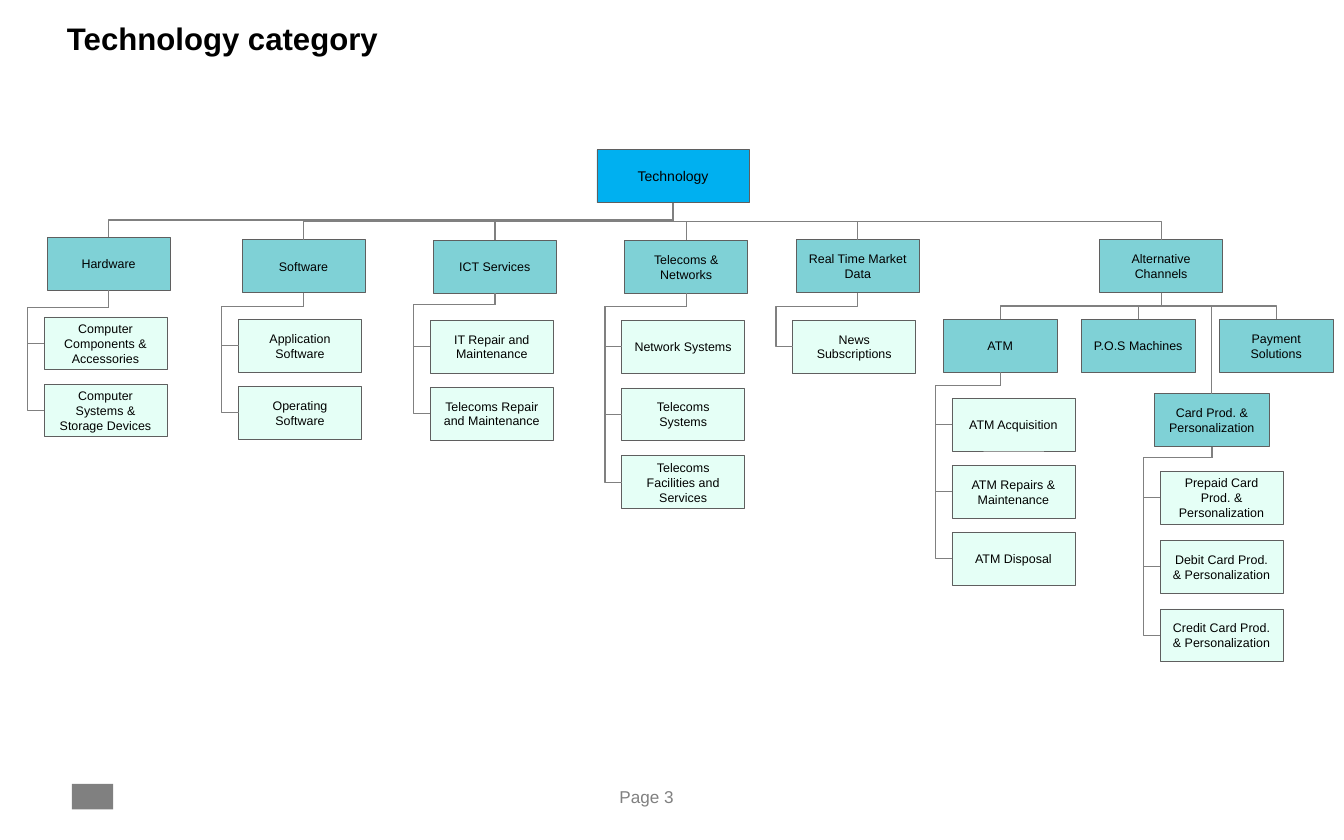
"""Build the technology category tree slide."""
from lxml import etree
from pptx import Presentation
from pptx.dml.color import RGBColor
from pptx.enum.shapes import MSO_CONNECTOR, MSO_SHAPE
from pptx.enum.text import MSO_ANCHOR, PP_ALIGN
from pptx.oxml.ns import qn
from pptx.util import Cm, Pt

RECTANGLE = MSO_SHAPE.RECTANGLE
ELBOW = MSO_CONNECTOR.ELBOW
MIDDLE = MSO_ANCHOR.MIDDLE
CENTER = PP_ALIGN.CENTER
TOP_SITE, LEFT_SITE, BOTTOM_SITE = 0, 1, 2

COLORS = {
    "root": "00B0F0",
    "category": "7FD1D6",
    "item": "E5FFF6",
    "border": "5F5F5F",
    "gray": "808080",
    "text": "000000",
}
BOX_FRAME = {"word_wrap": True, "vertical_anchor": MIDDLE}
LABEL_FRAME = {"word_wrap": True, "margin_left": 0, "margin_right": 0,
               "margin_top": 0, "margin_bottom": 0}
BOX_WIDTH, CHANNEL_WIDTH, BOX_HEIGHT = 2.79, 2.59, 1.2
RAIL_GAP = Cm(0.38)

presentation = Presentation()
presentation.slide_width = Cm(30.48)
presentation.slide_height = Cm(19.05)
slide = presentation.slides.add_slide(presentation.slide_layouts[6])


def add_box(text, left, top, width, level, size=8):
    shape = slide.shapes.add_shape(
        RECTANGLE, Cm(left), Cm(top), Cm(width), Cm(BOX_HEIGHT))
    shape.shadow.inherit = False
    shape.fill.solid()
    shape.fill.fore_color.rgb = RGBColor.from_string(COLORS[level])
    shape.line.color.rgb = RGBColor.from_string(COLORS["border"])
    shape.line.width = Pt(0.5)
    for name, value in BOX_FRAME.items():
        setattr(shape.text_frame, name, value)
    paragraph = shape.text_frame.paragraphs[0]
    paragraph.text = text
    paragraph.alignment = CENTER
    for name, value in {"name": "Arial", "size": Pt(size)}.items():
        setattr(paragraph.font, name, value)
    paragraph.font.color.rgb = RGBColor.from_string(COLORS["text"])
    return shape


def add_elbow(parent, child, drop=None, to_side=False):
    start_x, start_y = parent.left + parent.width // 2, parent.top + parent.height
    end_x, end_y = child.left + child.width // 2, child.top
    if to_side:
        end_x, end_y = child.left, child.top + child.height // 2
    run, fall = abs(end_x - start_x), end_y - start_y
    connector = slide.shapes.add_connector(ELBOW, start_x, start_y, end_x, end_y)
    connector.begin_connect(parent, BOTTOM_SITE)
    connector.end_connect(child, LEFT_SITE if to_side else TOP_SITE)
    box = {"left": (start_x + end_x - fall) // 2, "top": (start_y + end_y - run) // 2,
           "width": fall, "height": run}
    for name, value in box.items():
        setattr(connector, name, value)
    rightward = end_x > start_x
    properties = connector.element.spPr
    transform = properties.find(qn("a:xfrm"))
    turn = {"rot": "16200000" if rightward else "5400000",
            "flipH": "1" if rightward else "0", "flipV": "0"}
    for name, value in turn.items():
        transform.set(name, value)
    bends = [Cm(drop) / fall if drop else 0.5]
    geometry = properties.find(qn("a:prstGeom"))
    if to_side:
        geometry.set("prst", "bentConnector4")
        bends.append((run + RAIL_GAP) / run)
    for number, bend in enumerate(bends, 1):
        etree.SubElement(geometry.find(qn("a:avLst")), qn("a:gd"),
                         name=f"adj{number}", fmla=f"val {round(bend * 100000)}")
    connector.line.color.rgb = RGBColor.from_string(COLORS["gray"])
    connector.line.width = Pt(0.75)
    etree.SubElement(properties, qn("a:effectLst"))


labels = [
    ("Technology category", 1.52, 0.56, 27.43, 1.02, "text", 0.85,
     {"name": "Arial", "size": Pt(20), "bold": True}),
    ("Page 3", 14.05, 17.83, 2.39, 0.56, "gray", 1.0,
     {"name": "Arial", "size": Pt(11)}),
]
for text, left, top, width, height, color, spacing, font_format in labels:
    label = slide.shapes.add_textbox(Cm(left), Cm(top), Cm(width), Cm(height))
    for name, value in LABEL_FRAME.items():
        setattr(label.text_frame, name, value)
    paragraph = label.text_frame.paragraphs[0]
    paragraph.text = text
    paragraph.line_spacing = spacing
    for name, value in font_format.items():
        setattr(paragraph.font, name, value)
    paragraph.font.color.rgb = RGBColor.from_string(COLORS[color])

footer_mark = slide.shapes.add_shape(RECTANGLE, Cm(1.63), Cm(17.78), Cm(0.94), Cm(0.58))
footer_mark.shadow.inherit = False
footer_mark.fill.solid()
footer_mark.fill.fore_color.rgb = RGBColor.from_string(COLORS["gray"])
footer_mark.line.fill.background()

root = add_box("Technology", 13.54, 3.4, 3.45, "root", 9)

categories = {}
for text, left, top in [
    ("Hardware", 1.07, 5.38),
    ("Software", 5.49, 5.44),
    ("ICT Services", 9.83, 5.45),
    ("Telecoms & Networks", 14.17, 5.45),
    ("Real Time Market Data", 18.06, 5.44),
    ("Alternative Channels", 24.94, 5.44),
]:
    categories[text] = add_box(text, left, top, BOX_WIDTH, "category")
    add_elbow(root, categories[text])

channels = categories["Alternative Channels"]
for column, text in enumerate(["ATM", "P.O.S Machines", "Payment Solutions"]):
    categories[text] = add_box(text, 21.39 + 3.13 * column, 7.24, CHANNEL_WIDTH, "category")
    add_elbow(channels, categories[text])
cards = add_box("Card Prod. & Personalization", 26.19, 8.93, CHANNEL_WIDTH, "category")
categories["Cards"] = cards
add_elbow(channels, cards, 0.32)

branches = [
    ("Hardware", 1.0, 7.19, 1.52, 0.4,
     ["Computer Components & Accessories", "Computer Systems & Storage Devices"]),
    ("Software", 5.41, 7.24, 1.52, 0.32,
     ["Application Software", "Operating Software"]),
    ("ICT Services", 9.76, 7.26, 1.52, 0.26,
     ["IT Repair and Maintenance", "Telecoms Repair and Maintenance"]),
    ("Telecoms & Networks", 14.1, 7.26, 1.54, 0.3,
     ["Network Systems", "Telecoms Systems", "Telecoms Facilities and Services"]),
    ("Real Time Market Data", 17.98, 7.26, 1.52, 0.32, ["News Subscriptions"]),
    ("ATM", 21.59, 9.03, 1.52, 0.3,
     ["ATM Acquisition", "ATM Repairs & Maintenance", "ATM Disposal"]),
    ("Cards", 26.31, 10.69, 1.56, 0.25,
     ["Prepaid Card Prod. & Personalization", "Debit Card Prod. & Personalization",
      "Credit Card Prod. & Personalization"]),
]
for category, left, top, step, drop, items in branches:
    for row, text in enumerate(items):
        item = add_box(text, left, top + step * row, BOX_WIDTH, "item")
        add_elbow(categories[category], item, drop, to_side=True)

presentation.save("out.pptx")
